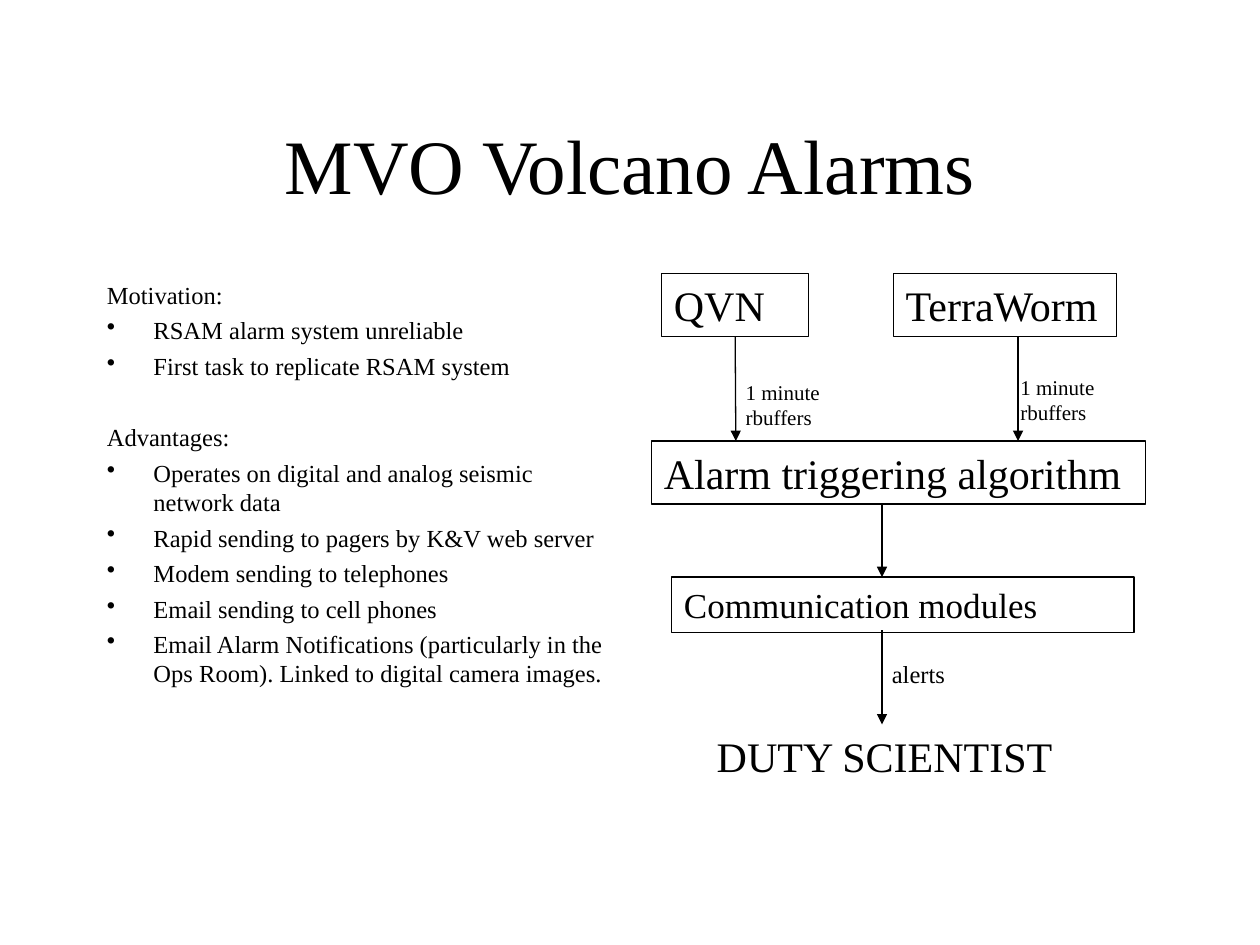
from dataclasses import dataclass

from lxml import etree
from pptx import Presentation
from pptx import util as u
from pptx.dml.color import RGBColor
from pptx.enum import shapes, text
from pptx.oxml import ns


@dataclass(frozen=True)
class Theme:
    font: str = "Times New Roman"
    ink: RGBColor = RGBColor(0, 0, 0)
    title: int = 44
    stage: int = 24
    module: int = 20
    body: int = 14
    label: int = 12
    line: float = 0.75


THEME = Theme()
INDENT = 0.37
SECTIONS = {
    "Motivation:": [
        "RSAM alarm system unreliable",
        "First task to replicate RSAM system",
    ],
    "Advantages:": [
        "Operates on digital and analog seismic network data",
        "Rapid sending to pagers by K&V web server",
        "Modem sending to telephones",
        "Email sending to cell phones",
        "Email Alarm Notifications (particularly in the Ops Room). "
        "Linked to digital camera images.",
    ],
}
STAGES = [
    ("QVN", (5.25, 2.17, 1.17, 0.5), THEME.stage),
    ("TerraWorm", (7.09, 2.17, 1.77, 0.5), THEME.stage),
    ("Alarm triggering algorithm", (5.17, 3.5, 3.92, 0.5), THEME.stage),
    ("Communication modules", (5.33, 4.58, 3.67, 0.44), THEME.module),
]
FLOWS = [(5.84, 2.67, 3.5), (8.08, 2.67, 3.5), (7, 4, 4.58), (7, 5, 5.75)]
LABELS = [
    ("alerts", (6.98, 5.18, 0.62, 0.34), THEME.body),
    ("1 minute rbuffers", (5.82, 2.96, 1.35, 0.3), THEME.label),
    ("1 minute rbuffers", (8, 2.92, 1.35, 0.3), THEME.label),
    ("DUTY SCIENTIST", (5.59, 5.75, 2.87, 0.5), THEME.stage),
]


def apply(target, formats):
    for attribute, value in formats.items():
        setattr(target, attribute, value)


def inches(values):
    return [u.Inches(value) for value in values]


def write(paragraph, words, size, align=text.PP_ALIGN.LEFT):
    paragraph.alignment = align
    run = paragraph.add_run()
    run.text = words
    apply(run.font, {"name": THEME.font, "size": u.Pt(size)})
    run.font.color.rgb = THEME.ink


def add_label(slide, words, place, size, wrap=False,
              align=text.PP_ALIGN.LEFT, anchor=text.MSO_ANCHOR.TOP):
    label = slide.shapes.add_textbox(*inches(place))
    apply(label.text_frame, {"word_wrap": wrap, "vertical_anchor": anchor})
    write(label.text_frame.paragraphs[0], words, size, align)


def add_stage(slide, words, place, size):
    stage = slide.shapes.add_shape(shapes.MSO_SHAPE.RECTANGLE, *inches(place))
    stage.shadow.inherit = False
    stage.fill.background()
    stage.line.color.rgb = THEME.ink
    stage.line.width = u.Pt(THEME.line)
    apply(stage.text_frame, {
        "word_wrap": True,
        "vertical_anchor": text.MSO_ANCHOR.TOP,
    })
    write(stage.text_frame.paragraphs[0], words, size)
    return stage


def add_flow(slide, x, top, bottom):
    flow = slide.shapes.add_connector(
        shapes.MSO_CONNECTOR.STRAIGHT, *inches((x, top, x, bottom)))
    flow.line.color.rgb = THEME.ink
    flow.line.width = u.Pt(THEME.line)
    etree.SubElement(flow.line._get_or_add_ln(), ns.qn("a:tailEnd"), type="triangle")
    etree.SubElement(flow._element.spPr, ns.qn("a:effectLst"))
    return flow


def add_bullet(paragraph):
    properties = paragraph._p.get_or_add_pPr()
    properties.set("marL", str(u.Inches(INDENT)))
    properties.set("indent", str(-u.Inches(INDENT)))
    etree.SubElement(properties, ns.qn("a:buChar"), char="•")


def add_sections(slide, place):
    frame = slide.shapes.add_textbox(*inches(place)).text_frame
    frame.word_wrap = True
    paragraph = frame.paragraphs[0]
    for number, (heading, points) in enumerate(SECTIONS.items()):
        if number:
            paragraph = frame.add_paragraph()
        paragraph.space_before = u.Pt(24 if number else 3.5)
        write(paragraph, heading, THEME.body)
        for point in points:
            paragraph = frame.add_paragraph()
            paragraph.space_before = u.Pt(3.5)
            add_bullet(paragraph)
            write(paragraph, point, THEME.body)


def main():
    deck = Presentation()
    apply(deck, {"slide_width": u.Inches(10), "slide_height": u.Inches(7.5)})
    slide = deck.slides.add_slide(deck.slide_layouts[6])
    add_label(slide, "MVO Volcano Alarms", (0.75, 0.67, 8.5, 1.25), THEME.title,
              True, text.PP_ALIGN.CENTER, text.MSO_ANCHOR.MIDDLE)
    add_sections(slide, (0.75, 2.17, 4.17, 4.5))
    stages = [add_stage(slide, *stage) for stage in STAGES]
    flows = [add_flow(slide, *flow) for flow in FLOWS]
    flows[0].begin_connect(stages[0], 2)
    for label in LABELS:
        add_label(slide, *label)
    deck.save("out.pptx")


if __name__ == "__main__":
    main()
